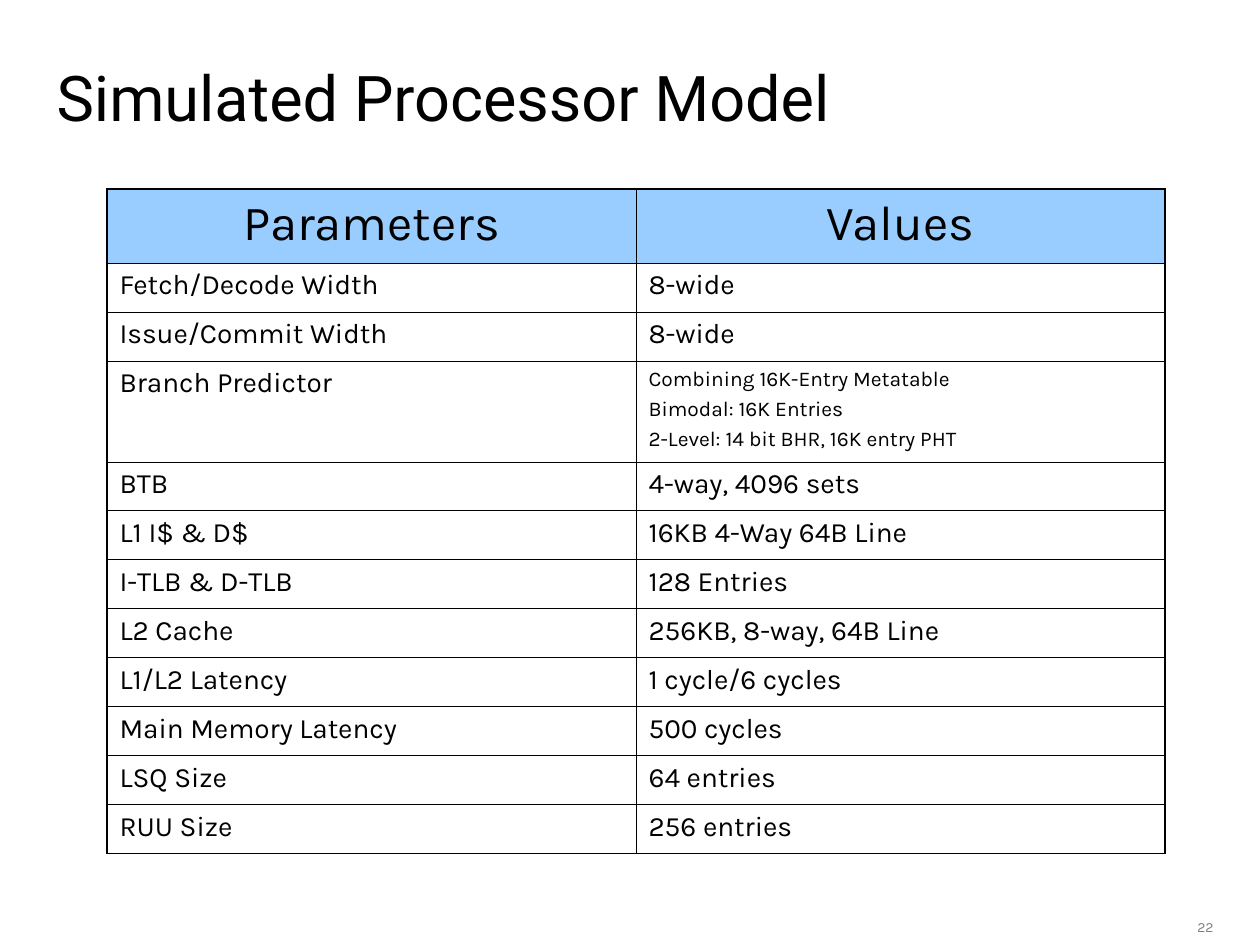
from lxml.etree import SubElement
from pptx import Presentation
from pptx.dml.color import RGBColor
from pptx.enum.text import MSO_ANCHOR, PP_ALIGN
from pptx.oxml.ns import qn
from pptx.util import Emu, Pt

BLACK, GREY, HEADER_BLUE = "000000", "808080", "99CCFF"
THICK, THIN = Pt(1.08), Pt(0.45)
HEADER_H, ROW_H, TALL_ROW_H = 74, 49, 101

PARAMETERS = [
    ("Fetch/Decode Width", "8-wide"),
    ("Issue/Commit Width", "8-wide"),
    ("Branch Predictor", "Combining 16K-Entry Metatable\n"
                         "Bimodal: 16K Entries\n"
                         "2-Level: 14 bit BHR, 16K entry PHT"),
    ("BTB", "4-way, 4096 sets"),
    ("L1 I$ & D$", "16KB 4-Way 64B Line"),
    ("I-TLB & D-TLB", "128 Entries"),
    ("L2 Cache", "256KB, 8-way, 64B Line"),
    ("L1/L2 Latency", "1 cycle/6 cycles"),
    ("Main Memory Latency", "500 cycles"),
    ("LSQ Size", "64 entries"),
    ("RUU Size", "256 entries"),
]


def px(n):
    return Emu(round(n * 914400 / 126))


def rgb(color):
    return RGBColor.from_string(color)


def write(tf, text, size, font="Karla", color=BLACK, align=PP_ALIGN.LEFT, before=0):
    tf.text = text
    for p in tf.paragraphs:
        p.alignment = align
        p.space_before = Pt(before)
        p.font.size = Pt(size)
        p.font.name = font
        p.font.color.rgb = rgb(color)


def set_borders(cell, widths):
    """Draw black cell borders; widths are left, right, top, bottom."""
    tcPr = cell._tc.get_or_add_tcPr()
    for i, (side, width) in enumerate(zip("LRTB", widths)):
        ln = SubElement(tcPr, qn(f"a:ln{side}"), w=str(width))
        SubElement(SubElement(ln, qn("a:solidFill")), qn("a:srgbClr"), val=BLACK)
        tcPr.insert(i, ln)  # borders come before the fill


def add_title(s, text, x, y, w, h):
    sp = s.shapes.title
    sp.left, sp.top, sp.width, sp.height = map(px, (x, y, w, h))
    sp.text_frame.vertical_anchor = MSO_ANCHOR.MIDDLE
    write(sp.text_frame, text, 36, "Roboto")


def add_parameter_table(s, x, y, w):
    rows = [("Parameters", "Values")] + PARAMETERS
    heights = [HEADER_H] + [TALL_ROW_H if "\n" in value else ROW_H
                            for _, value in PARAMETERS]
    table = s.shapes.add_table(len(rows), 2, px(x), px(y), px(w),
                               px(sum(heights))).table
    last = len(rows) - 1
    for r, (row, height) in enumerate(zip(rows, heights)):
        table.rows[r].height = px(height)
        for c, text in enumerate(row):
            cell = table.cell(r, c)
            if r == 0:
                cell.fill.solid()
                cell.fill.fore_color.rgb = rgb(HEADER_BLUE)
                write(cell.text_frame, text, 28, align=PP_ALIGN.CENTER, before=7)
            else:
                cell.fill.background()
                size, before = (12, 3) if "\n" in text else (16, 4)
                write(cell.text_frame, text, size, before=before)
            # Thick outer frame, thin inner grid
            outer = (c == 0, c == 1, r == 0, r == last)
            set_borders(cell, [THICK if edge else THIN for edge in outer])


def add_page_number(s, number, x, y, w, h):
    tf = s.shapes.add_textbox(*map(px, (x, y, w, h))).text_frame
    tf.word_wrap = True
    write(tf, number, 8, color=GREY, align=PP_ALIGN.RIGHT)


def main():
    prs = Presentation()
    prs.slide_width, prs.slide_height = px(1260), px(945)
    s = prs.slides.add_slide(prs.slide_layouts[5])  # title only
    add_title(s, "Simulated Processor Model", 44, 44, 1134, 105)
    add_parameter_table(s, 107, 189, 1058)
    add_page_number(s, "22", 1143, 912, 83, 21)
    prs.save("out.pptx")


if __name__ == "__main__":
    main()
